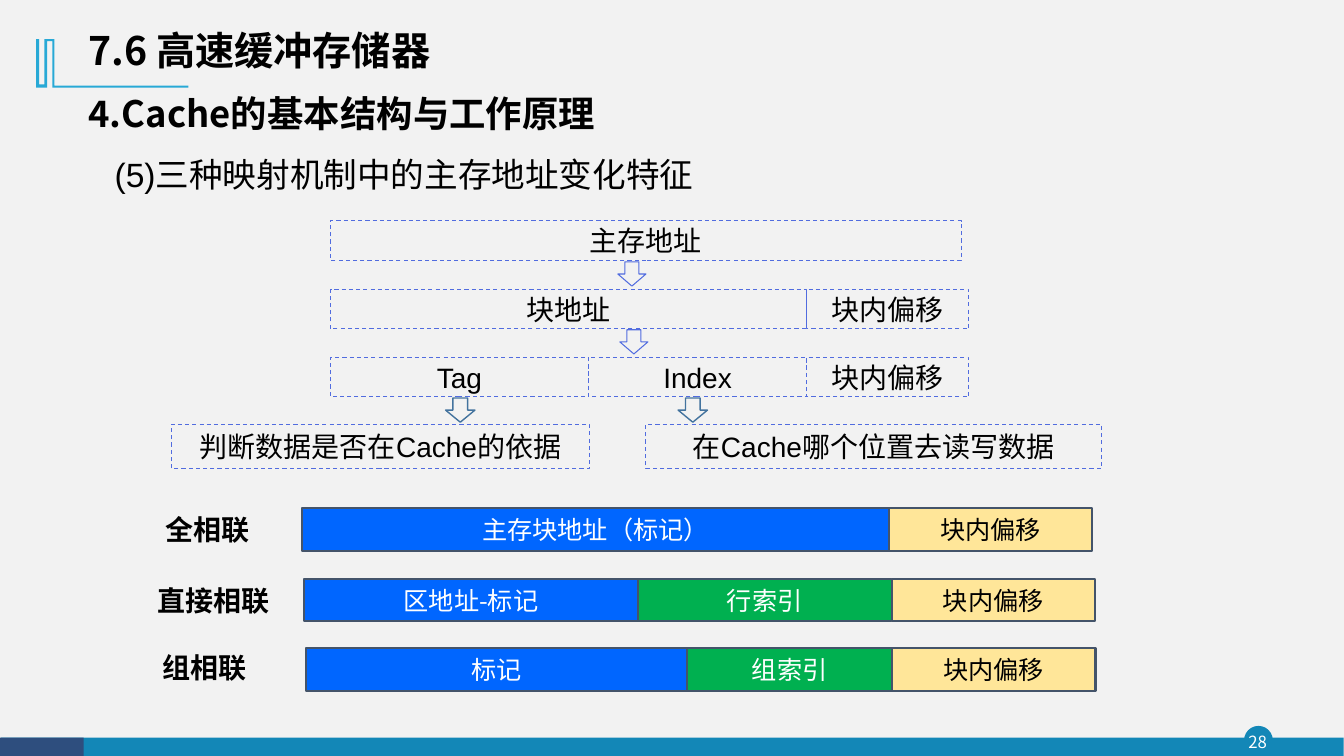
"""Build the slide on how main memory addresses change under three cache mappings."""
from dataclasses import dataclass
from itertools import accumulate

from lxml.etree import SubElement
from pptx import Presentation
from pptx.dml.color import RGBColor
from pptx.enum.dml import MSO_LINE
from pptx.enum.shapes import MSO_SHAPE as Preset
from pptx.enum.text import MSO_ANCHOR as Anchor, PP_ALIGN as Align
from pptx.oxml.ns import qn
from pptx.shapes.autoshape import Shape
from pptx.slide import Slide
from pptx.util import Cm, Pt


@dataclass(frozen=True)
class Theme:
    background: str = "F2F2F2"
    footer: str = "1387B7"
    footer_dark: str = "2E4E7E"
    ornament: str = "28A9D6"
    outline: str = "516CDF"
    hint_arrow: str = "43739E"
    bar_line: str = "44546A"
    tag: str = "0066FF"
    index: str = "00B050"
    offset: str = "FFE699"
    dark: str = "000000"
    light: str = "FFFFFF"
    heading_font: str = "Noto Sans CJK JP"
    label_font: str = "Noto Sans CJK SC"
    body_font: str = "Arial"
    title_size: float = 28
    subtitle_size: float = 26
    point_size: float = 24
    label_size: float = 20
    bar_size: float = 18
    number_size: float = 12


THEME = Theme()


@dataclass(frozen=True)
class Box:
    left: float
    top: float
    width: float
    height: float

    def lengths(self) -> tuple[Cm, Cm, Cm, Cm]:
        """Return the four measures as slide lengths."""
        return Cm(self.left), Cm(self.top), Cm(self.width), Cm(self.height)


@dataclass(frozen=True)
class Style:
    size: float
    font: str
    color: str = THEME.dark
    bold: bool = False
    align: Align = Align.LEFT
    anchor: Anchor = Anchor.TOP
    inset: bool = True
    wrap: bool = True
    spacing: float = 1.0


@dataclass(frozen=True)
class Field:
    text: str
    width: float
    fill: str = ""


@dataclass(frozen=True)
class AddressRow:
    left: float
    top: float
    height: float
    fields: tuple[Field, ...]


@dataclass(frozen=True)
class Mapping:
    name: str
    name_box: Box
    row: AddressRow


@dataclass(frozen=True)
class Arrow:
    box: Box
    color: str
    weight: float


TITLE = Style(THEME.title_size, THEME.heading_font, bold=True, anchor=Anchor.MIDDLE, spacing=0.9)
SUBTITLE = Style(THEME.subtitle_size, THEME.heading_font, bold=True)
POINT = Style(THEME.point_size, THEME.body_font)
MAPPING_NAME = Style(THEME.label_size, THEME.label_font, bold=True)
ADDRESS = Style(THEME.label_size, THEME.body_font, align=Align.CENTER, anchor=Anchor.MIDDLE, wrap=False)
PAGE_NUMBER = Style(THEME.number_size, THEME.label_font, THEME.light, align=Align.CENTER,
                    anchor=Anchor.MIDDLE, inset=False)

HEADINGS = (
    ("7.6 高速缓冲存储器", Box(1.98, 0.46, 12.14, 1.73), TITLE),
    ("4.Cache的基本结构与工作原理", Box(1.98, 2.18, 15.04, 1.37), SUBTITLE),
    ("(5)三种映射机制中的主存地址变化特征", Box(2.64, 3.76, 16.41, 1.27), POINT),
)
BLOCK_OFFSET = Field("块内偏移", 4.09)
ADDRESS_ROWS = (
    AddressRow(8.33, 5.56, 1, (Field("主存地址", 15.9),)),
    AddressRow(8.33, 7.29, 1, (Field("块地址", 12), BLOCK_OFFSET)),
    AddressRow(8.33, 9, 1, (Field("Tag", 6.5), Field("Index", 5.5), BLOCK_OFFSET)),
    AddressRow(4.32, 10.69, 1.12, (Field("判断数据是否在Cache的依据", 10.54),)),
    AddressRow(16.28, 10.69, 1.12, (Field("在Cache哪个位置去读写数据", 11.48),)),
)
ARROWS = (
    Arrow(Box(15.57, 6.6, 0.71, 0.61), THEME.outline, 0.75),
    Arrow(Box(15.62, 8.31, 0.71, 0.61), THEME.outline, 0.75),
    Arrow(Box(11.23, 10.03, 0.74, 0.61), THEME.hint_arrow, 1),
    Arrow(Box(17.09, 10.03, 0.74, 0.61), THEME.hint_arrow, 1),
)
BAR_OFFSET = Field("块内偏移", 5.13, THEME.offset)
MAPPINGS = (
    Mapping("全相联", Box(3.91, 12.8, 3.28, 1.12), AddressRow(
        7.62, 12.8, 1.08, (Field("主存块地址（标记）", 14.78, THEME.tag), BAR_OFFSET))),
    Mapping("直接相联", Box(3.73, 14.58, 3.61, 1.12), AddressRow(
        7.67, 14.58, 1.08, (Field("区地址-标记", 8.4, THEME.tag), Field("行索引", 6.4, THEME.index), BAR_OFFSET))),
    Mapping("组相联", Box(3.84, 16.26, 3.61, 1.12), AddressRow(
        7.72, 16.33, 1.08, (Field("标记", 9.6, THEME.tag), Field("组索引", 5.16, THEME.index), BAR_OFFSET))),
)
ORNAMENT = (
    (1.37, 0.99), (1.37, 2.16), (4.75, 2.16), (4.75, 2.21), (1.32, 2.21), (1.32, 1.04), (1.19, 1.04),
    (1.19, 2.21), (0.91, 2.21), (0.91, 0.99), (0.99, 0.99), (0.99, 2.13), (1.12, 2.13), (1.12, 0.99),
)


def paint(shape: Shape, fill: str = "", line: str = "", weight: float = 1, dashed: bool = False) -> None:
    """Set the fill and outline of a shape and drop its shadow."""
    shape.shadow.inherit = False
    if fill:
        shape.fill.solid()
        shape.fill.fore_color.rgb = RGBColor.from_string(fill)
    else:
        shape.fill.background()
    if line:
        shape.line.color.rgb = RGBColor.from_string(line)
        shape.line.width = Pt(weight)
        if dashed:
            shape.line.dash_style = MSO_LINE.DASH
    else:
        shape.line.fill.background()


def write(shape: Shape, text: str, style: Style) -> None:
    """Put one styled run into a shape."""
    frame = shape.text_frame
    frame.word_wrap = style.wrap
    frame.vertical_anchor = style.anchor
    if not style.inset:
        frame.margin_left = frame.margin_right = frame.margin_top = frame.margin_bottom = 0
    paragraph = frame.paragraphs[0]
    paragraph.alignment = style.align
    paragraph.line_spacing = style.spacing
    run = paragraph.add_run()
    run.text = text
    run.font.size = Pt(style.size)
    run.font.bold = style.bold
    run.font.name = style.font
    run.font.color.rgb = RGBColor.from_string(style.color)
    east_asian = THEME.label_font if style.font == THEME.body_font else style.font
    SubElement(run.font._element, qn("a:ea")).set("typeface", east_asian)


def add_preset(slide: Slide, preset: Preset, box: Box, fill: str = "", line: str = "",
               weight: float = 1, dashed: bool = False) -> Shape:
    """Add a painted preset shape."""
    shape = slide.shapes.add_shape(preset, *box.lengths())
    paint(shape, fill, line, weight, dashed)
    return shape


def add_label(slide: Slide, text: str, box: Box, style: Style) -> None:
    """Add a text box with one styled run."""
    write(slide.shapes.add_textbox(*box.lengths()), text, style)


def add_row(slide: Slide, row: AddressRow) -> None:
    """Draw the fields of an address side by side."""
    lefts = accumulate((field.width for field in row.fields), initial=row.left)
    for left, field in zip(lefts, row.fields):
        box = Box(left, row.top, field.width, row.height)
        if field.fill:
            color = THEME.dark if field.fill == THEME.offset else THEME.light
            style = Style(THEME.bar_size, THEME.label_font, color, align=Align.CENTER, anchor=Anchor.MIDDLE)
            cell = add_preset(slide, Preset.RECTANGLE, box, field.fill, THEME.bar_line, 1.5)
        else:
            style = ADDRESS
            cell = add_preset(slide, Preset.RECTANGLE, box, "", THEME.outline, 0.75, True)
        write(cell, field.text, style)


def add_frame(slide: Slide) -> None:
    """Draw the background, footer, page number and corner ornament."""
    slide.background.fill.solid()
    slide.background.fill.fore_color.rgb = RGBColor.from_string(THEME.background)
    add_preset(slide, Preset.OVAL, Box(31.37, 18.31, 0.69, 0.69), THEME.footer, THEME.footer)
    add_preset(slide, Preset.RECTANGLE, Box(0.03, 18.59, 33.83, 0.48), THEME.footer)
    add_preset(slide, Preset.RECTANGLE, Box(0, 18.59, 2.11, 0.48), THEME.footer_dark)
    add_label(slide, "28", Box(31.29, 18.31, 0.81, 0.79), PAGE_NUMBER)
    start, *rest = [(Cm(x), Cm(y)) for x, y in ORNAMENT]
    builder = slide.shapes.build_freeform(*start)
    builder.add_line_segments(rest, close=True)
    paint(builder.convert_to_shape(), THEME.ornament)


def main() -> None:
    """Build and save the slide."""
    deck = Presentation()
    deck.slide_width, deck.slide_height = Cm(33.87), Cm(19.05)
    slide = deck.slides.add_slide(deck.slide_layouts[6])
    add_frame(slide)
    for text, box, style in HEADINGS:
        add_label(slide, text, box, style)
    for row in ADDRESS_ROWS:
        add_row(slide, row)
    for arrow in ARROWS:
        add_preset(slide, Preset.DOWN_ARROW, arrow.box, "", arrow.color, arrow.weight)
    for mapping in MAPPINGS:
        add_row(slide, mapping.row)
        add_label(slide, mapping.name, mapping.name_box, MAPPING_NAME)
    deck.save("out.pptx")


if __name__ == "__main__":
    main()
